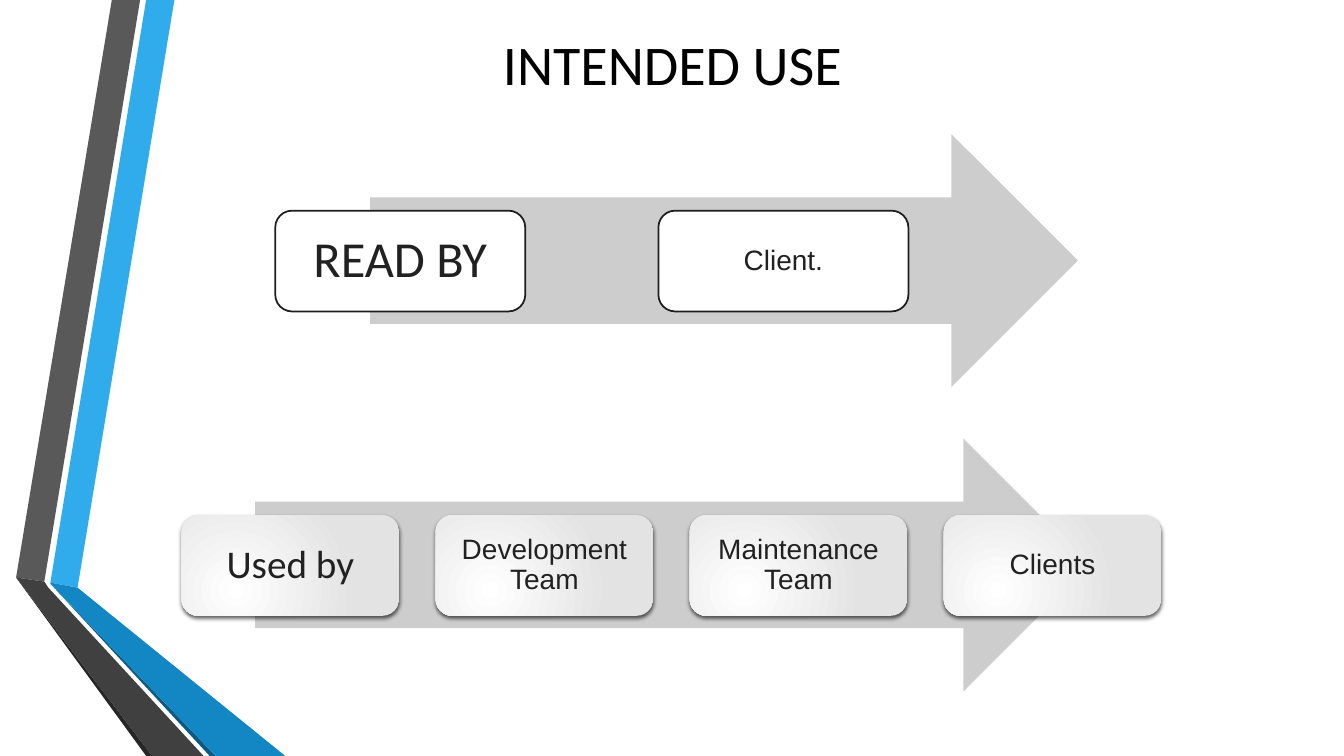
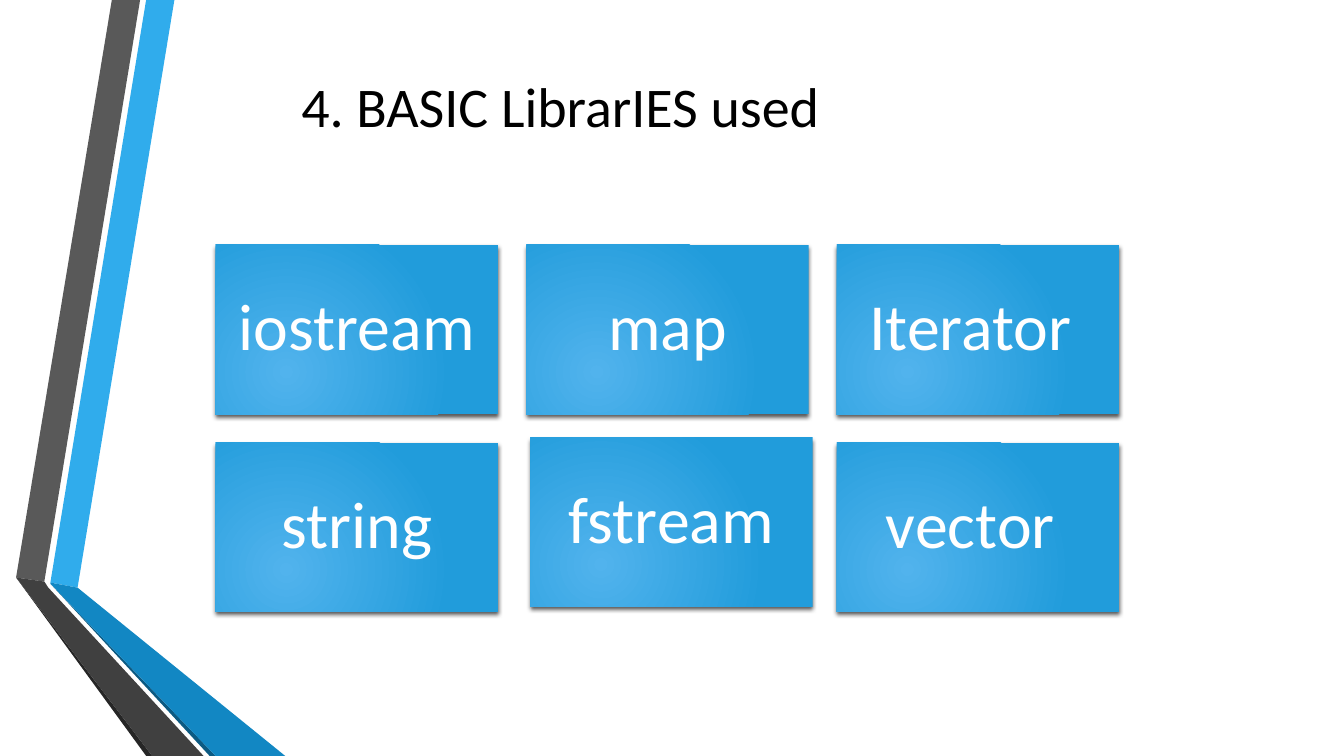
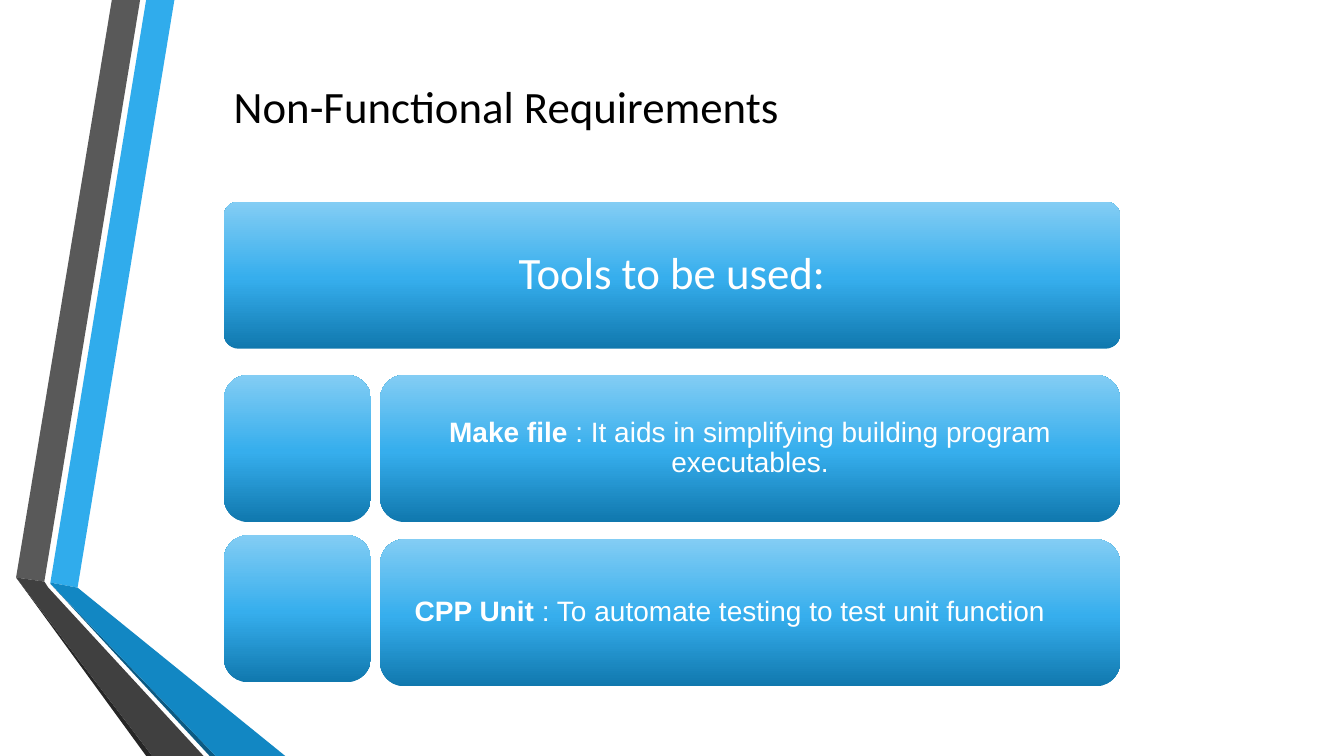
from dataclasses import dataclass

from pptx import Presentation
from pptx.dml.color import RGBColor
from pptx.enum.shapes import MSO_SHAPE
from pptx.enum.text import MSO_ANCHOR, MSO_AUTO_SIZE, PP_ALIGN
from pptx.oxml import parse_xml
from pptx.oxml.ns import nsdecls, qn
from pptx.util import Inches, Pt

RECT = MSO_SHAPE.RECTANGLE
ROUND_RECT = MSO_SHAPE.ROUNDED_RECTANGLE
RIGHT_ARROW = MSO_SHAPE.RIGHT_ARROW
MIDDLE = MSO_ANCHOR.MIDDLE
CENTER = PP_ALIGN.CENTER
FIT_SHAPE = MSO_AUTO_SIZE.SHAPE_TO_FIT_TEXT


@dataclass(frozen=True)
class Theme:
    # Fonts
    heading: str = "Calibri"
    body: str = "Arial"
    # Type sizes
    title_size: int = 40
    tile_size: int = 47
    lead_size: int = 36
    banner_size: int = 32
    used_size: int = 28
    body_size: int = 20
    # Colours
    black: str = "000000"
    white: str = "FFFFFF"
    ink: str = "212121"
    outline: str = "1E1E1E"
    arrow: str = "CDCDCD"
    # Gradients as (position, colour) stops
    grey_glow: tuple = ((0, "FFFFFF"), (100, "E3E3E3"))
    blue_glow: tuple = ((0, "51B3ED"), (100, "219CDB"))
    blue_sheen: tuple = ((0, "1078AE"), (48, "36AEED"), (100, "83CDF4"))


THEME = Theme()
GLOW = ('<a:path path="circle"><a:fillToRect l="50000" t="100000" '
        'r="100000" b="50000"/></a:path>')
SHEEN = '<a:lin ang="16200000" scaled="0"/>'

# Ribbon facets on the left edge: colour and corner points
RIBBON = (
    ("30ACEC", ((0.5, 5.78), (0.77, 5.83), (1.73, 0), (1.45, 0))),
    ("595959", ((1.39, 0), (1.11, 0), (0.16, 5.73), (0.44, 5.77))),
    ("262626", ((0.16, 5.73), (1.45, 7.5), (1.51, 7.5))),
    ("0C5A82", ((0.5, 5.79), (2.08, 7.5), (2.14, 7.5))),
    ("1287C3", ((0.5, 5.79), (2.14, 7.5), (2.83, 7.5), (0.77, 5.83),
                (0.5, 5.78))),
    ("404040", ((2.02, 7.5), (0.48, 5.83), (0.44, 5.77), (0.16, 5.73),
                (1.51, 7.5))),
)


# Fills and effects
def set_solid(shape, color):
    shape.fill.solid()
    shape.fill.fore_color.rgb = RGBColor.from_string(color)


def set_gradient(shape, stops, direction):
    marks = "".join(
        f'<a:gs pos="{pos * 1000}"><a:srgbClr val="{color}"/></a:gs>'
        for pos, color in stops)
    shape.fill.background()
    properties = shape._element.spPr
    properties.replace(
        properties.find(qn("a:noFill")),
        parse_xml(f'<a:gradFill {nsdecls("a")} rotWithShape="1">'
                  f'<a:gsLst>{marks}</a:gsLst>{direction}</a:gradFill>'))


def add_shadow(shape):
    effects = shape._element.spPr.find(qn("a:effectLst"))
    effects.append(parse_xml(
        f'<a:outerShdw {nsdecls("a")} blurRad="{Pt(3)}" dist="{Pt(2)}" '
        f'dir="5400000" rotWithShape="0"><a:srgbClr val="{THEME.black}">'
        '<a:alpha val="64000"/></a:srgbClr></a:outerShdw>'))


# Text
def add_run(paragraph, text, font, size, color, bold=False):
    run = paragraph.add_run()
    run.text = text
    run.font.name = font
    run.font.size = Pt(size)
    run.font.bold = bold
    run.font.color.rgb = RGBColor.from_string(color)


def write_label(shape, runs, font, size, color, inset, right=None):
    """Centre (text, bold) runs; a wider right inset moves them left."""
    frame = shape.text_frame
    frame.word_wrap = True
    frame.vertical_anchor = MIDDLE
    frame.margin_left = frame.margin_top = frame.margin_bottom = Inches(inset)
    frame.margin_right = Inches(right or inset)
    paragraph = frame.paragraphs[0]
    paragraph.alignment = CENTER
    paragraph.line_spacing = 0.9
    for text, bold in runs:
        add_run(paragraph, text, font, size, color, bold)


# Elements
def add_block(slide, kind, left, top, width, height):
    shape = slide.shapes.add_shape(
        kind, Inches(left), Inches(top), Inches(width), Inches(height))
    shape.shadow.inherit = False
    shape.line.fill.background()
    return shape


def add_arrow(slide, left, top, width):
    set_solid(add_block(slide, RIGHT_ARROW, left, top, width, 2.51),
              THEME.arrow)


def add_glow_block(slide, kind, box, stops):
    block = add_block(slide, kind, *box)
    set_gradient(block, stops, GLOW)
    add_shadow(block)
    return block


def add_panel(slide, left, top, width, corner=0.167):
    panel = add_block(slide, ROUND_RECT, left, top, width, 1.46)
    panel.adjustments[0] = corner
    set_gradient(panel, THEME.blue_sheen, SHEEN)
    return panel


def add_ribbon(slide):
    for color, points in RIBBON:
        corners = [(Inches(x), Inches(y)) for x, y in points]
        builder = slide.shapes.build_freeform(*corners[0])
        builder.add_line_segments(corners[1:], close=True)
        facet = builder.convert_to_shape()
        facet.shadow.inherit = False
        facet.line.fill.background()
        set_solid(facet, color)


def add_title(slide, text, left, top, width, height=0.77,
              size=THEME.title_size):
    title = slide.shapes.add_textbox(
        Inches(left), Inches(top), Inches(width), Inches(height))
    title.text_frame.word_wrap = True
    title.text_frame.auto_size = FIT_SHAPE
    add_run(title.text_frame.paragraphs[0], text, THEME.heading, size,
            THEME.black)


def new_slide(deck):
    slide = deck.slides.add_slide(deck.slide_layouts[6])
    add_ribbon(slide)
    return slide


# Slides
def build_intended_use(deck):
    slide = new_slide(deck)
    lead_styles = {
        "Used by": (THEME.heading, THEME.used_size, THEME.ink, 0.12),
        "READ BY": (THEME.heading, THEME.lead_size, THEME.ink, 0.15),
    }
    plain = (THEME.body, THEME.body_size, THEME.ink, 0.08)

    # Users
    add_arrow(slide, 2.53, 4.35, 8.28)
    users = ("Used by", "Development Team", "Maintenance Team", "Clients")
    for column, user in enumerate(users):
        box = (1.8 + column * 2.52, 5.11, 2.16, 1)
        card = add_glow_block(slide, ROUND_RECT, box, THEME.grey_glow)
        write_label(card, [(user, False)], *lead_styles.get(user, plain))

    # Readers
    add_arrow(slide, 3.67, 1.33, 7.02)
    for column, reader in enumerate(("READ BY", "Client.")):
        card = add_block(slide, ROUND_RECT, 2.73 + column * 3.8, 2.09, 2.48, 1)
        set_solid(card, THEME.white)
        card.line.color.rgb = RGBColor.from_string(THEME.outline)
        card.line.width = Pt(1.25)
        write_label(card, [(reader, False)], *lead_styles.get(reader, plain))

    add_title(slide, "INTENDED USE", 4.89, 0.24, 3.91)


def build_libraries(deck):
    slide = new_slide(deck)
    add_title(slide, "4. BASIC LibrarIES used", 2.89, 0.66, 7.75)
    libraries = ("iostream", "map", "Iterator", "string", "fstream", "vector")
    nudges = {"fstream": (0.04, -0.05)}
    right_insets = {"Iterator": 0.35, "vector": 0.35}
    for index, library in enumerate(libraries):
        row, column = divmod(index, 3)
        dx, dy = nudges.get(library, (0, 0))
        box = (2.14 + column * 3.08 + dx, 2.43 + row * 1.96 + dy, 2.8, 1.68)
        tile = add_glow_block(slide, RECT, box, THEME.blue_glow)
        write_label(tile, [(library, False)], THEME.heading, THEME.tile_size,
                    THEME.white, 0.2, right_insets.get(library))


def build_requirements(deck):
    slide = new_slide(deck)
    add_title(slide, "Non-Functional Requirements", 2.22, 0.73, 7.54, 0.64,
              THEME.banner_size)

    # Banner
    banner = add_panel(slide, 2.22, 2, 8.89, corner=0.1)
    write_label(banner, [("Tools to be used:", False)], THEME.heading,
                THEME.banner_size, THEME.white, 0.07)

    # Tools: marker top, panel top, name, purpose, right inset
    tools = (
        (3.72, 3.72, "Make file",
         " : It aids in simplifying building program executables.", 0.16),
        (5.31, 5.35, "CPP Unit",
         " : To automate testing to test unit function", 0.56),
    )
    for marker_top, panel_top, name, purpose, right in tools:
        add_panel(slide, 2.22, marker_top, 1.46)
        panel = add_panel(slide, 3.77, panel_top, 7.34)
        write_label(panel, [(name, True), (purpose, False)], THEME.body,
                    THEME.body_size, THEME.white, 0.16, right)


def main():
    deck = Presentation()
    deck.slide_width = Inches(13.33)
    deck.slide_height = Inches(7.5)
    build_intended_use(deck)
    build_libraries(deck)
    build_requirements(deck)
    deck.save("out.pptx")


if __name__ == "__main__":
    main()
